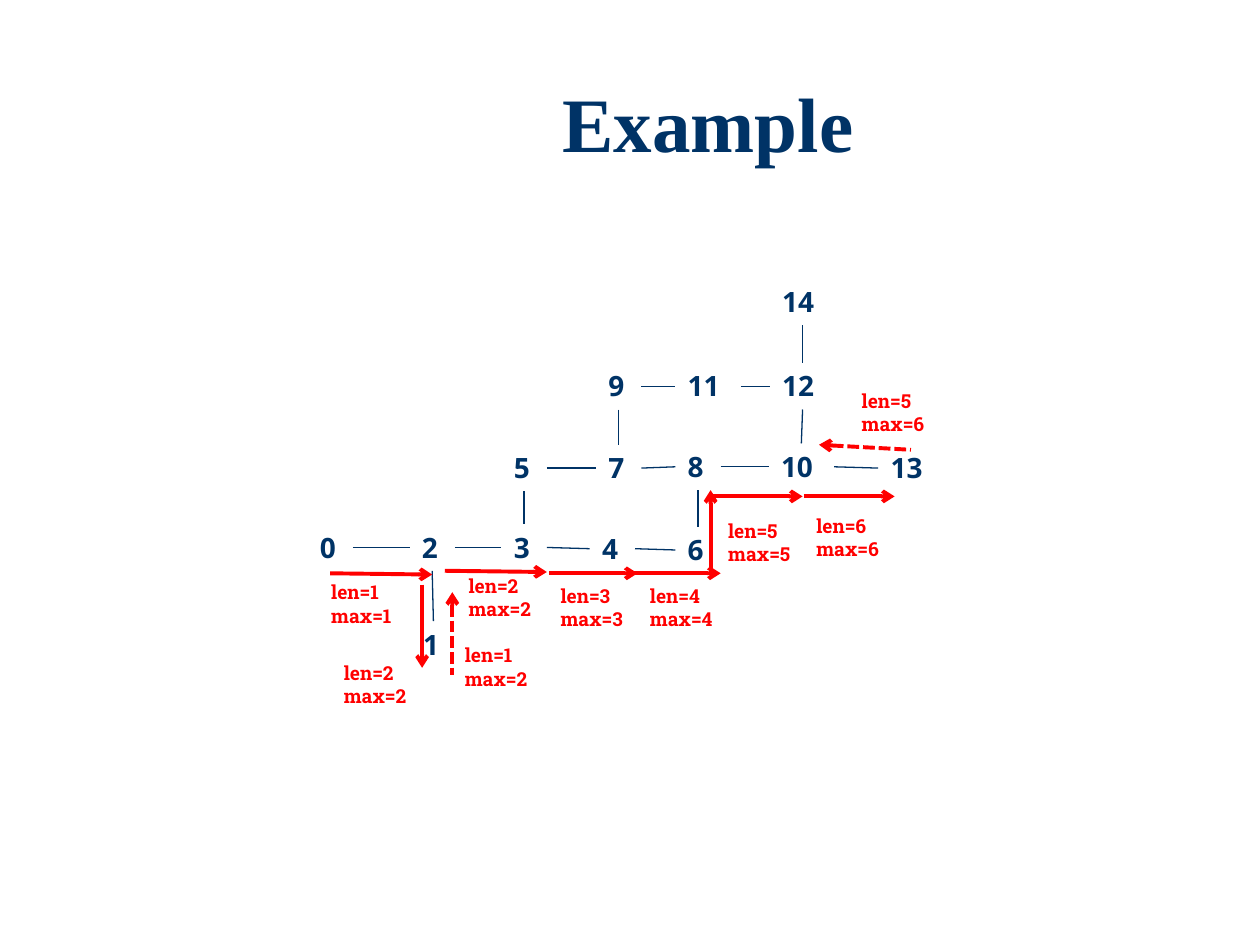
import pptx
import pptx.util
import pptx.dml.color
import pptx.enum.dml
import pptx.enum.shapes
import pptx.enum.text
import lxml.etree

Inches, Pt = pptx.util.Inches, pptx.util.Pt
RGB = pptx.dml.color.RGBColor.from_string

# Theme
THEME = {
    "title": {"name": "Times New Roman", "size": Pt(44), "bold": True, "color": "003366"},
    "node": {"name": "Open Sans", "size": Pt(16), "bold": True, "color": "003366"},
    "label": {"name": "Roboto Slab", "size": Pt(11), "bold": True, "color": "FF0000"},
    "edge": {"color": "003366", "width": Pt(0.75)},
    "step": {"color": "FF0000", "width": Pt(2.25)},
}
NODE_HEIGHT = 0.37
DIGIT_WIDTH, MARGINS = 0.16, 0.2
LABEL_SIZE = (0.72, 0.47)

# Content: left and top of each node, in inches
TITLE = "Example"
NODES = {
    0: (2.44, 4.16), 2: (3.25, 4.16), 3: (3.98, 4.16), 4: (4.68, 4.17), 6: (5.36, 4.18),
    1: (3.26, 4.93),
    5: (3.98, 3.53), 7: (4.73, 3.53), 8: (5.36, 3.52), 10: (6.1, 3.52), 13: (6.97, 3.53),
    9: (4.73, 2.88), 11: (5.36, 2.88), 12: (6.11, 2.88),
    14: (6.11, 2.21),
}
ROW_EDGES = [(0, 2), (2, 3), (3, 4), (4, 6), (5, 7), (7, 8), (8, 10), (10, 13), (9, 11), (11, 12)]
COLUMN_EDGES = [(2, 1), (5, 3), (8, 6), (9, 7), (12, 10), (14, 12)]  # upper, lower

# Search steps: start, end
FORWARD_STEPS = [
    ((2.62, 4.55), (3.43, 4.56)), ((3.35, 4.64), (3.35, 5.3)), ((3.53, 4.53), (4.34, 4.54)),
    ((4.36, 4.55), (5.06, 4.55)), ((5.02, 4.55), (5.72, 4.55)), ((5.64, 4.54), (5.64, 3.89)),
    ((5.65, 3.94), (6.37, 3.94)), ((6.38, 3.94), (7.1, 3.94)),
]
BACKWARD_STEPS = [((3.59, 4.7), (3.59, 5.36)), ((6.5, 3.53), (7.23, 3.57))]  # head at start

# Length, maximum, left and top of each label
LABELS = [
    (1, 1, 2.53, 4.56), (2, 2, 2.63, 5.2), (1, 2, 3.59, 5.06), (2, 2, 3.62, 4.51),
    (3, 3, 4.35, 4.59), (4, 4, 5.06, 4.59), (5, 5, 5.68, 4.07), (6, 6, 6.38, 4.03),
    (5, 6, 6.74, 3.04),
]

presentation = pptx.Presentation()
presentation.slide_width, presentation.slide_height = Inches(10), Inches(7.5)
slide = presentation.slides.add_slide(presentation.slide_layouts[5])


def set_attributes(target, values):
    for name, value in values.items():
        setattr(target, name, value)


def write(frame, lines, style):
    frame.text = "\n".join(lines)
    for paragraph in frame.paragraphs:
        font = paragraph.runs[0].font
        set_attributes(font, {key: value for key, value in style.items() if key != "color"})
        font.color.rgb = RGB(style["color"])


def add_text(lines, left, top, width, height, style):
    frame = slide.shapes.add_textbox(*map(Inches, (left, top, width, height))).text_frame
    set_attributes(frame, {"word_wrap": False,
                           "auto_size": pptx.enum.text.MSO_AUTO_SIZE.SHAPE_TO_FIT_TEXT})
    write(frame, lines, style)


def add_line(start, end, style, arrow=None, dashed=False):
    connector = slide.shapes.add_connector(
        pptx.enum.shapes.MSO_CONNECTOR.STRAIGHT, *map(Inches, (*start, *end)))
    connector.line.color.rgb = RGB(style["color"])
    connector.line.width = style["width"]
    if dashed:
        connector.line.dash_style = pptx.enum.dml.MSO_LINE.SQUARE_DOT
    properties = connector._element.spPr
    if arrow:
        outline = properties.find(pptx.oxml.ns.qn("a:ln"))
        lxml.etree.SubElement(outline, pptx.oxml.ns.qn("a:" + arrow), type="arrow")
    lxml.etree.SubElement(properties, pptx.oxml.ns.qn("a:effectLst"))


def node_width(node):
    return MARGINS + DIGIT_WIDTH * len(str(node))


def anchor(node, across, down):
    left, top = NODES[node]
    return left + across * node_width(node), top + down * NODE_HEIGHT


# Title
title = slide.shapes.title
set_attributes(title, {"left": Inches(1.62), "top": Inches(0.6),
                       "width": Inches(8), "height": Inches(0.92)})
set_attributes(title.text_frame, {"auto_size": pptx.enum.text.MSO_AUTO_SIZE.NONE,
                                  "vertical_anchor": pptx.enum.text.MSO_ANCHOR.MIDDLE,
                                  "margin_bottom": Inches(0.15)})
write(title.text_frame, [TITLE], THEME["title"])
set_attributes(title.text_frame.paragraphs[0], {"alignment": pptx.enum.text.PP_ALIGN.CENTER,
                                                "line_spacing": 0.9})

# Graph
for node, (left, top) in NODES.items():
    add_text([str(node)], left, top, node_width(node), NODE_HEIGHT, THEME["node"])
for first, second in ROW_EDGES:
    add_line(anchor(first, 1, 0.5), anchor(second, 0, 0.5), THEME["edge"])
for upper, lower in COLUMN_EDGES:
    add_line(anchor(upper, 0.5, 1), anchor(lower, 0.5, 0), THEME["edge"])

# Search steps and their labels
for start, end in FORWARD_STEPS:
    add_line(start, end, THEME["step"], "tailEnd")
for start, end in BACKWARD_STEPS:
    add_line(start, end, THEME["step"], "headEnd", dashed=True)
for length, maximum, left, top in LABELS:
    add_text([f"len={length}", f"max={maximum}"], left, top, *LABEL_SIZE, THEME["label"])

presentation.save("out.pptx")
